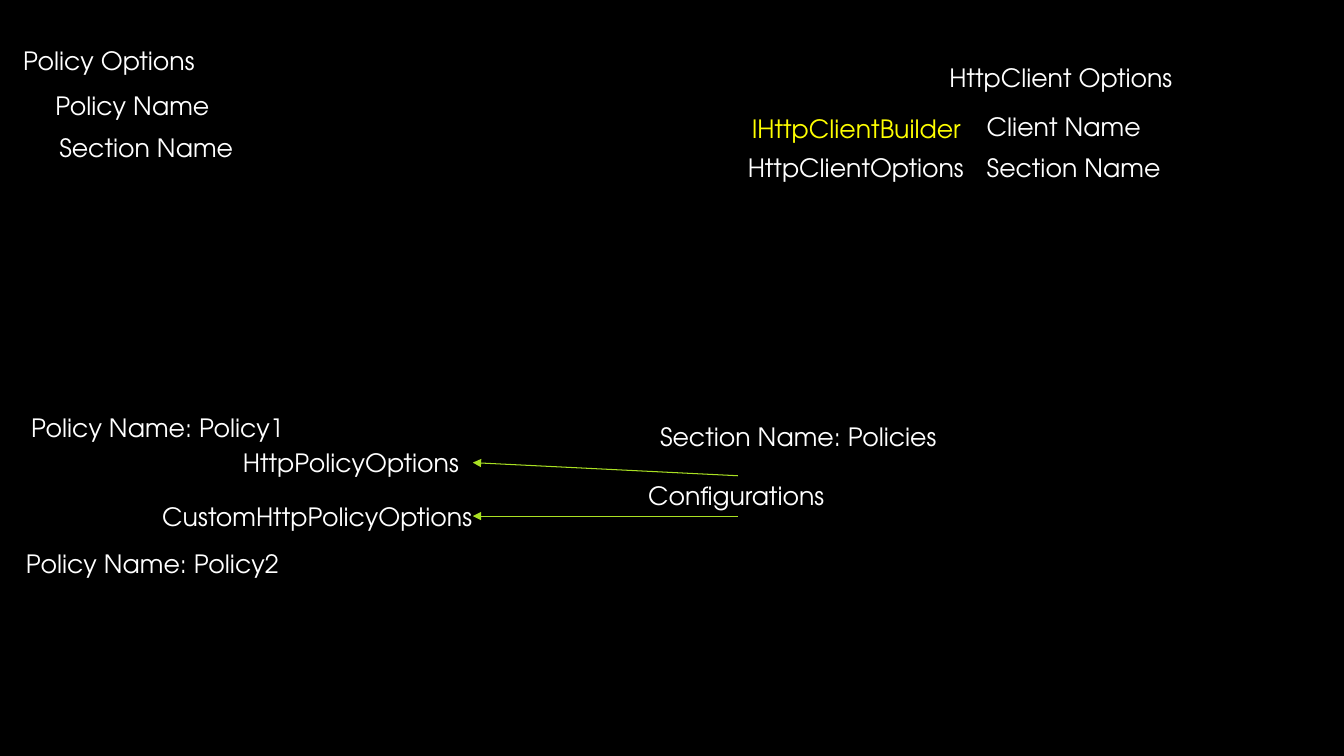
"""Build the slide relating policy options, HTTP client options and configurations."""
from lxml import etree
from pptx import Presentation
from pptx import util as u
from pptx.dml.color import RGBColor
from pptx.enum import shapes, text
from pptx.oxml import ns

THEME = {
    "background": "000000", "plain": "FFFFFF", "highlight": "FFFF00", "arrow": "A9E023",
    "font": "TeX Gyre Adventor", "size": u.Pt(18), "line": u.Pt(0.75),
}
SLIDE = (u.Inches(13.333), u.Inches(7.5))
LABEL_HEIGHT = 5.33
COLUMN = 25.73

# text, left %, top %, width %, wraps, colour
LABELS = [
    ("Policy Options", 0.98, 5.33, COLUMN, True, "plain"),
    ("HttpClient Options", 69.9, 7.6, COLUMN, True, "plain"),
    ("Policy Name", 3.38, 11.33, COLUMN, True, "plain"),
    ("Client Name", 72.68, 14.13, COLUMN, True, "plain"),
    ("Section Name", 3.68, 16.8, COLUMN, True, "plain"),
    ("Section Name", 72.68, 19.47, COLUMN, True, "plain"),
    ("HttpClientOptions", 54.9, 19.47, 17.78, False, "plain"),
    ("IHttpClientBuilder", 55.2, 14.27, 17.25, False, "highlight"),
    ("Configurations", 47.48, 62.93, 14.85, False, "plain"),
    ("HttpPolicyOptions", 17.33, 58.53, 17.85, False, "plain"),
    ("CustomHttpPolicyOptions", 11.33, 65.6, 24.9, False, "plain"),
    ("Section Name: Policies", 48.38, 55.07, 24.38, True, "plain"),
    ("Policy Name: Policy1", 1.58, 53.87, COLUMN, True, "plain"),
    ("Policy Name: Policy2", 1.2, 71.87, COLUMN, True, "plain"),
]


def share(percent, axis):
    return round(SLIDE[axis] * percent / 100)


def color(name):
    return RGBColor.from_string(THEME[name])


def add_label(page, words, left, top, width, wraps, tone):
    box = page.shapes.add_textbox(
        share(left, 0), share(top, 1), share(width, 0), share(LABEL_HEIGHT, 1))
    frame = box.text_frame
    frame_format = {"word_wrap": wraps, "auto_size": text.MSO_AUTO_SIZE.SHAPE_TO_FIT_TEXT}
    for name, value in frame_format.items():
        setattr(frame, name, value)
    span = frame.paragraphs[0].add_run()
    span.text = words
    for name, value in {"name": THEME["font"], "size": THEME["size"]}.items():
        setattr(span.font, name, value)
    span.font.color.rgb = color(tone)
    return box


def add_arrow(page, source, side, end):
    arrow = page.shapes.add_connector(
        shapes.MSO_CONNECTOR.STRAIGHT, source.left, source.top, *end)
    arrow.begin_connect(source, side)
    arrow.line.color.rgb = color("arrow")
    arrow.line.width = THEME["line"]
    etree.SubElement(arrow.line._get_or_add_ln(), ns.qn("a:tailEnd"), type="triangle")
    etree.SubElement(arrow._element.spPr, ns.qn("a:effectLst"))
    return arrow


def main():
    deck = Presentation()
    deck.slide_width, deck.slide_height = SLIDE
    page = deck.slides.add_slide(deck.slide_layouts[6])
    page.background.fill.solid()
    page.background.fill.fore_color.rgb = color("background")

    boxes = {label[0]: add_label(page, *label) for label in LABELS}
    source, target = boxes["Configurations"], boxes["HttpPolicyOptions"]
    edge = target.left + target.width
    upper = add_arrow(page, source, 0, (edge, target.top + target.height // 2))
    upper.end_connect(target, 3)
    add_arrow(page, source, 2, (edge, source.top + source.height))
    deck.save("out.pptx")


if __name__ == "__main__":
    main()
